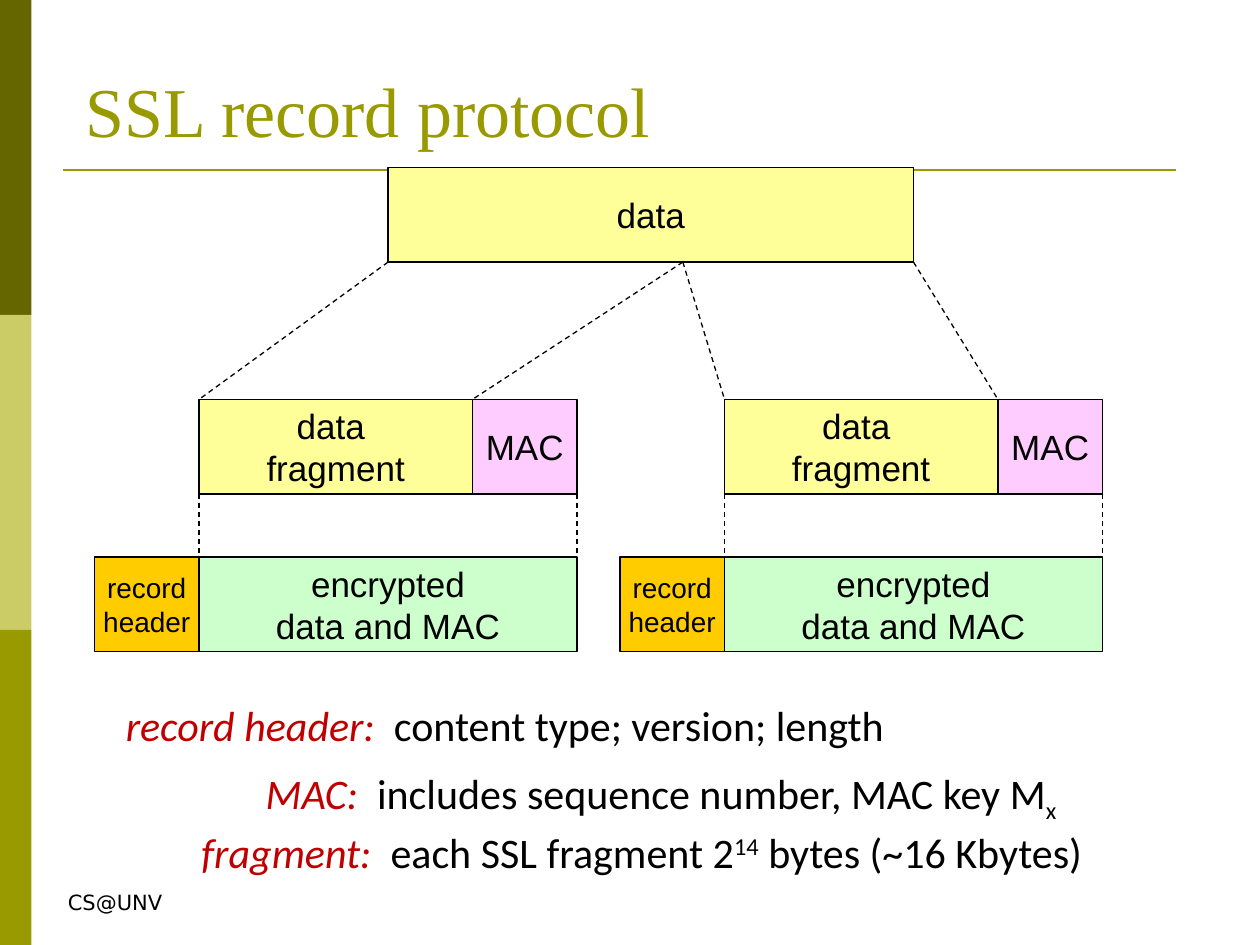
from lxml import etree
from pptx import Presentation
from pptx.dml.color import RGBColor
from pptx.enum.dml import MSO_LINE
from pptx.enum.shapes import MSO_CONNECTOR, MSO_SHAPE
from pptx.enum.text import MSO_ANCHOR, MSO_AUTO_SIZE, PP_ALIGN
from pptx.oxml.ns import qn
from pptx.util import Inches, Pt

RECTANGLE = MSO_SHAPE.RECTANGLE
STRAIGHT = MSO_CONNECTOR.STRAIGHT
DASH = MSO_LINE.DASH
MIDDLE, BOTTOM = MSO_ANCHOR.MIDDLE, MSO_ANCHOR.BOTTOM
LEFT, CENTER = PP_ALIGN.LEFT, PP_ALIGN.CENTER
GROW, FIXED = MSO_AUTO_SIZE.SHAPE_TO_FIT_TEXT, MSO_AUTO_SIZE.NONE

BLACK, RED, OLIVE = "000000", "C00000", "999900"
YELLOW, PINK, GREEN, ORANGE = "FFFF99", "FFCCFF", "CCFFCC", "FFCC00"


def color(hex_code):
    return RGBColor.from_string(hex_code)


class SlideBuilder:
    title_font, diagram_font = "Times New Roman", "Arial"
    note_font, footer_font = "Calibri", "DejaVu Sans"

    def __init__(self, slide):
        self.slide = slide
        self.shapes = slide.shapes

    def style(self, run, font, size, hex_code=BLACK, italic=False, baseline=0):
        run.font.name = font
        run.font.size = Pt(size)
        run.font.color.rgb = color(hex_code)
        run.font.italic = italic
        if baseline:
            run.font._element.set("baseline", str(baseline * 1000))

    def title(self, text, left, top, width, height):
        title = self.shapes.title
        title.left, title.top = Inches(left), Inches(top)
        title.width, title.height = Inches(width), Inches(height)
        frame = title.text_frame
        frame.text = text
        frame.auto_size = FIXED
        frame.vertical_anchor = BOTTOM
        frame.paragraphs[0].alignment = LEFT
        self.style(frame.paragraphs[0].runs[0], self.title_font, 40, OLIVE)

    def block(self, left, top, width, height, fill, text="", size=20):
        """Add a plain bar, or an outlined box when it carries text."""
        box = self.shapes.add_shape(
            RECTANGLE, Inches(left), Inches(top), Inches(width), Inches(height))
        box.shadow.inherit = False
        box.fill.solid()
        box.fill.fore_color.rgb = color(fill)
        if not text:
            box.line.fill.background()
            return
        box.line.color.rgb = color(BLACK)
        box.line.width = Pt(0.75)
        frame = box.text_frame
        frame.text = text
        frame.word_wrap = False
        frame.vertical_anchor = MIDDLE
        for paragraph in frame.paragraphs:
            paragraph.alignment = CENTER
            self.style(paragraph.runs[0], self.diagram_font, size)

    def line(self, x1, y1, x2, y2, hex_code=BLACK, width=0.75, dash=DASH):
        connector = self.shapes.add_connector(
            STRAIGHT, Inches(x1), Inches(y1), Inches(x2), Inches(y2))
        connector.line.color.rgb = color(hex_code)
        connector.line.width = Pt(width)
        connector.line.dash_style = dash
        etree.SubElement(connector._element.spPr, qn("a:effectLst"))

    def text(self, left, top, width, height, parts, font, size):
        """Parts are (text, colour, italic, baseline percent)."""
        box = self.shapes.add_textbox(
            Inches(left), Inches(top), Inches(width), Inches(height))
        frame = box.text_frame
        frame.word_wrap = False
        frame.auto_size = GROW
        for words, hex_code, italic, baseline in parts:
            run = frame.paragraphs[0].add_run()
            run.text = words
            self.style(run, font, size, hex_code, italic, baseline)

    def note(self, left, top, width, term, *explanation):
        parts = [(term + ":  ", RED, True, 0)]
        parts += [(words, BLACK, False, baseline) for words, baseline in explanation]
        self.text(left, top, width, 0.51, parts, self.note_font, 24)


def main():
    deck = Presentation()
    deck.slide_width, deck.slide_height = Inches(10), Inches(7.5)
    page = SlideBuilder(deck.slides.add_slide(deck.slide_layouts[5]))

    # Side bars, title rule and footer
    for index, shade in enumerate(("666600", "CCCC66", OLIVE)):
        page.block(0, 2.5 * index, 0.25, 2.5, shade)
    page.line(0.5, 1.35, 9.33, 1.35, OLIVE, 1.5, None)
    page.text(0.44, 7.01, 0.95, 0.3, [("CS@UNV", BLACK, False, 0)],
              page.footer_font, 12)
    page.title("SSL record protocol", 0.58, 0, 8.5, 1.25)

    # Whole data block, split into two fragments
    box_height = 0.75
    data_left, data_top, data_width = 3.08, 1.33, 4.17
    data_right, data_bottom = data_left + data_width, data_top + box_height
    split = 5.42
    page.block(data_left, data_top, data_width, box_height, YELLOW, "data")

    # Each fragment gets a MAC, then is encrypted behind a record header
    fragment_top, record_top = 3.17, 4.42
    fragment_width, small_width = 2.17, 0.83
    record_width = fragment_width + small_width
    for left, source_start, source_end in ((1.58, data_left, split),
                                           (5.75, split, data_right)):
        mac_left, right = left + fragment_width, left + record_width
        page.block(left, fragment_top, fragment_width, box_height, YELLOW,
                   "data \nfragment")
        page.block(mac_left, fragment_top, small_width, box_height, PINK, "MAC")
        page.block(left, record_top, record_width, box_height, GREEN,
                   "encrypted\ndata and MAC")
        page.block(left - small_width, record_top, small_width, box_height, ORANGE,
                   "record\nheader", 16)
        page.line(source_start, data_bottom, left, fragment_top)
        page.line(source_end, data_bottom, mac_left, fragment_top)
        for edge in (left, right):
            page.line(edge, fragment_top + box_height, edge, record_top)

    # Explanations of the parts
    page.note(0.9, 5.5, 6.22, "record header",
              ("content type; version; length", 0))
    page.note(2.01, 6.04, 6.48, "MAC",
              ("includes sequence number, MAC key M", 0), ("x", -25))
    page.note(1.5, 6.51, 7.19, "fragment",
              ("each SSL fragment 2", 0), ("14", 30), (" bytes (~16 Kbytes)", 0))

    deck.save("out.pptx")


if __name__ == "__main__":
    main()
